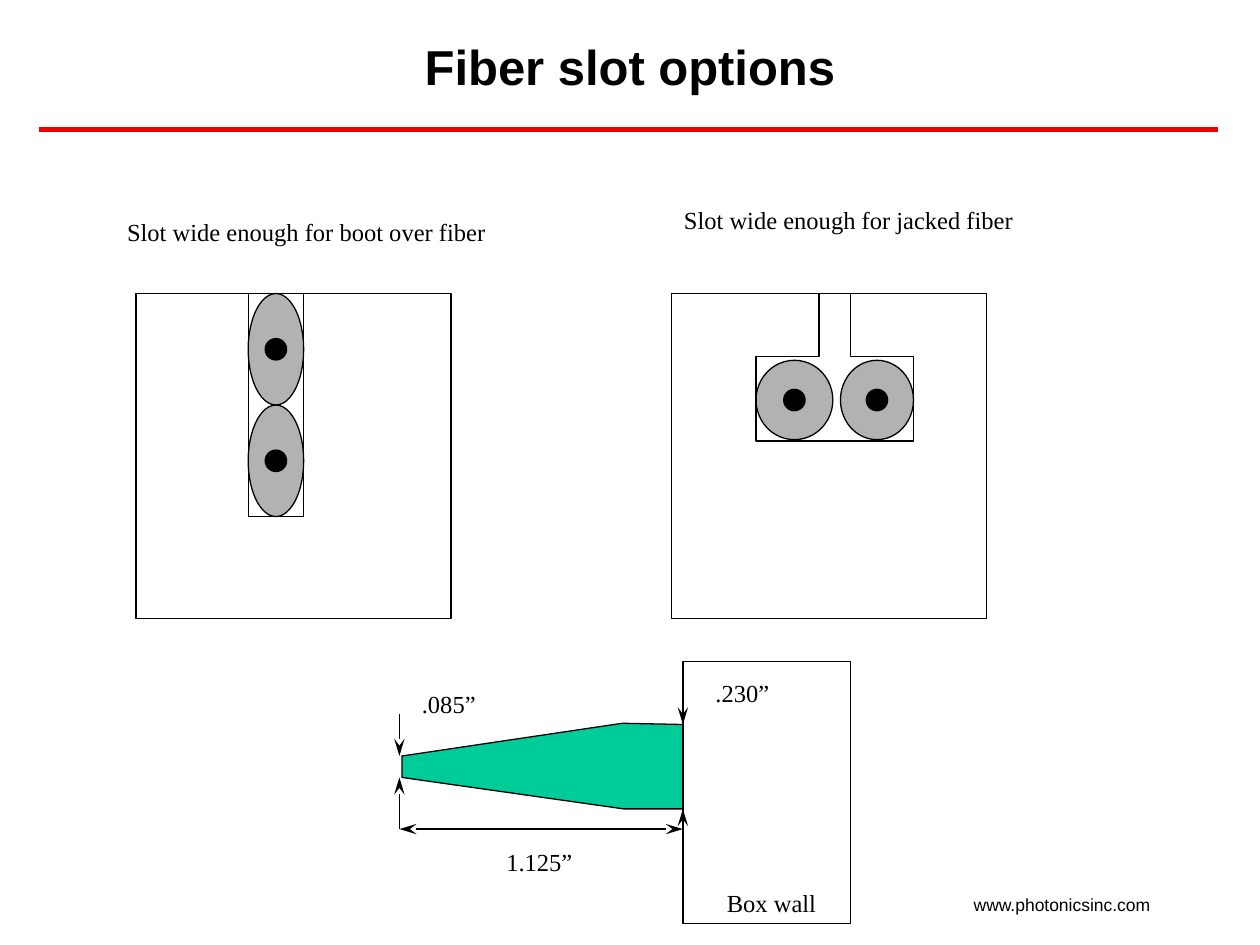
import pptx
import pptx.dml.color
import pptx.enum.shapes
import pptx.enum.text
import pptx.oxml
import pptx.oxml.ns
import pptx.util
from pptx.util import Inches

BLACK = pptx.dml.color.RGBColor(0x00, 0x00, 0x00)
RED = pptx.dml.color.RGBColor(0xEC, 0x00, 0x00)
GRAY = pptx.dml.color.RGBColor(0xB2, 0xB2, 0xB2)
GREEN = pptx.dml.color.RGBColor(0x00, 0xCC, 0x99)
RECTANGLE = pptx.enum.shapes.MSO_SHAPE.RECTANGLE
OVAL = pptx.enum.shapes.MSO_SHAPE.OVAL
PANEL_WIDTH, PANEL_HEIGHT = Inches(2.5), Inches(2.58)
CORE_SIZE = Inches(0.17)
LABEL_HEIGHT = Inches(0.34)


def add_text(slide, text, left, top, width, height, size=14, font="Times New Roman"):
    """Add one line of text in a box that grows to fit and return its text frame."""
    frame = slide.shapes.add_textbox(left, top, width, height).text_frame
    frame.word_wrap = False
    frame.auto_size = pptx.enum.text.MSO_AUTO_SIZE.SHAPE_TO_FIT_TEXT
    paragraph = frame.paragraphs[0]
    paragraph.text = text
    paragraph.font.size = pptx.util.Pt(size)
    paragraph.font.name = font
    paragraph.font.color.rgb = BLACK
    return frame


def style_shape(shape, fill=None):
    """Give a shape a thin black outline and an optional fill."""
    shape.shadow.inherit = False
    if fill is None:
        shape.fill.background()
    else:
        shape.fill.solid()
        shape.fill.fore_color.rgb = fill
    shape.line.color.rgb = BLACK
    shape.line.width = pptx.util.Pt(0.75)


def add_outlined(slide, kind, left, top, width, height, fill=None):
    """Add an outlined preset shape."""
    style_shape(slide.shapes.add_shape(kind, left, top, width, height), fill)


def add_outline(slide, left, top, points, close, fill=None):
    """Add a freeform through points in inches measured from left and top."""
    vertices = [(Inches(x), Inches(y)) for x, y in points]
    builder = slide.shapes.build_freeform(*vertices[0])
    builder.add_line_segments(vertices[1:], close=close)
    style_shape(builder.convert_to_shape(left, top), fill)


def add_line(slide, start, end, color=BLACK, width=0.75, arrows=()):
    """Add a straight line with stealth arrowheads at the named ends."""
    straight = pptx.enum.shapes.MSO_CONNECTOR.STRAIGHT
    line = slide.shapes.add_connector(straight, *start, *end)
    line.line.color.rgb = color
    line.line.width = pptx.util.Pt(width)
    outline = line.line._get_or_add_ln()
    for name in arrows:
        arrow = pptx.oxml.parse_xml(
            f'<a:{name} {pptx.oxml.ns.nsdecls("a")} type="stealth" w="med" len="lg"/>'
        )
        outline.append(arrow)
    effects = pptx.oxml.parse_xml(f'<a:effectLst {pptx.oxml.ns.nsdecls("a")}/>')
    line._element.spPr.append(effects)


def add_fiber(slide, left, top, width, height):
    """Add a gray boot with a black fiber core at its centre."""
    add_outlined(slide, OVAL, left, top, width, height, GRAY)
    core_left = left + (width - CORE_SIZE) // 2
    core_top = top + (height - CORE_SIZE) // 2
    add_outlined(slide, OVAL, core_left, core_top, CORE_SIZE, CORE_SIZE, BLACK)


def add_header(slide, left, top, width, height):
    """Add the slide title and the red rule under it."""
    frame = add_text(slide, "Fiber slot options", left, top, width, height, 28, "Arial")
    frame.word_wrap = True
    frame.auto_size = pptx.enum.text.MSO_AUTO_SIZE.NONE
    frame.vertical_anchor = pptx.enum.text.MSO_ANCHOR.MIDDLE
    paragraph = frame.paragraphs[0]
    paragraph.alignment = pptx.enum.text.PP_ALIGN.CENTER
    paragraph.font.bold = True
    rule_top = top + Inches(1.03)
    start = (left + Inches(0.31), rule_top)
    end = (left + Inches(9.67), rule_top)
    add_line(slide, start, end, RED, 3)


def add_boot_slot(slide, left, top, width, height):
    """Add the panel whose straight slot holds two stacked boots."""
    add_text(slide, "Slot wide enough for boot over fiber",
             left - Inches(0.17), top - Inches(0.66), Inches(3.05), LABEL_HEIGHT)
    add_outlined(slide, RECTANGLE, left, top, width, height)
    slot_left, slot_width = left + Inches(0.89), Inches(0.44)
    slot_height = Inches(1.77)
    fiber_height = slot_height // 2
    add_outlined(slide, RECTANGLE, slot_left, top, slot_width, slot_height)
    for index in range(2):
        add_fiber(slide, slot_left, top + index * fiber_height, slot_width, fiber_height)


def add_jacket_slot(slide, left, top, width, height):
    """Add the panel whose narrow slot opens into a pocket for two boots."""
    add_text(slide, "Slot wide enough for jacked fiber",
             left, top - Inches(0.75), Inches(2.83), LABEL_HEIGHT)
    add_outlined(slide, RECTANGLE, left, top, width, height)
    pocket_left = left + Inches(0.67)
    for offset, fiber_width in ((0, 0.61), (0.67, 0.58)):
        add_fiber(slide, pocket_left + Inches(offset), top + Inches(0.53),
                  Inches(fiber_width), Inches(0.63))
    slot = [(0.5, 0), (0.5, 0.5), (0, 0.5), (0, 1.17),
            (1.25, 1.17), (1.25, 0.5), (0.75, 0.5), (0.75, 0)]
    add_outline(slide, pocket_left, top, slot, close=False)


def add_boot_profile(slide, left, top, width, height):
    """Add the boot seen from the side against the box wall, with dimensions."""
    wall_left = left + Inches(2.25)
    add_outlined(slide, RECTANGLE, wall_left, top, left + width - wall_left, height)
    boot = [(0.02, 0.75), (1.77, 0.49), (2.25, 0.5),
            (2.25, 1.17), (1.78, 1.17), (0.02, 0.92)]
    add_outline(slide, left, top, boot, close=True, fill=GREEN)
    for x, start, tip in ((0, 1.33, 0.92), (0, 0.42, 0.75),
                          (2.25, 1.58, 1.17), (2.25, 0.17, 0.5)):
        add_line(slide, (left + Inches(x), top + Inches(start)),
                 (left + Inches(x), top + Inches(tip)), arrows=("tailEnd",))
    length_top = top + Inches(1.33)
    add_line(slide, (left, length_top), (wall_left, length_top),
             arrows=("headEnd", "tailEnd"))
    for text, x, y, label_width in ((".230”", 2.41, 0.08, 0.63), (".085”", 0.08, 0.17, 0.63),
                                    ("1.125”", 0.75, 1.42, 0.74), ("Box wall", 2.5, 1.75, 0.91)):
        add_text(slide, text, left + Inches(x), top + Inches(y),
                 Inches(label_width), LABEL_HEIGHT)


def add_footer(slide, left, top, width, height):
    """Add the web address at the foot of the slide."""
    add_text(slide, "www.photonicsinc.com", left, top, width, height, 10, "Arial")


def main():
    """Build and save the slide."""
    presentation = pptx.Presentation()
    presentation.slide_width = Inches(10)
    presentation.slide_height = Inches(7.5)
    slide = presentation.slides.add_slide(presentation.slide_layouts[6])
    add_footer(slide, Inches(7.63), Inches(7.05), Inches(1.6), Inches(0.27))
    add_header(slide, 0, 0, presentation.slide_width, Inches(1.04))
    add_boot_slot(slide, Inches(1.08), Inches(2.33), PANEL_WIDTH, PANEL_HEIGHT)
    add_jacket_slot(slide, Inches(5.33), Inches(2.33), PANEL_WIDTH, PANEL_HEIGHT)
    add_boot_profile(slide, Inches(3.17), Inches(5.25), Inches(3.58), Inches(2.08))
    presentation.save("out.pptx")


if __name__ == "__main__":
    main()
